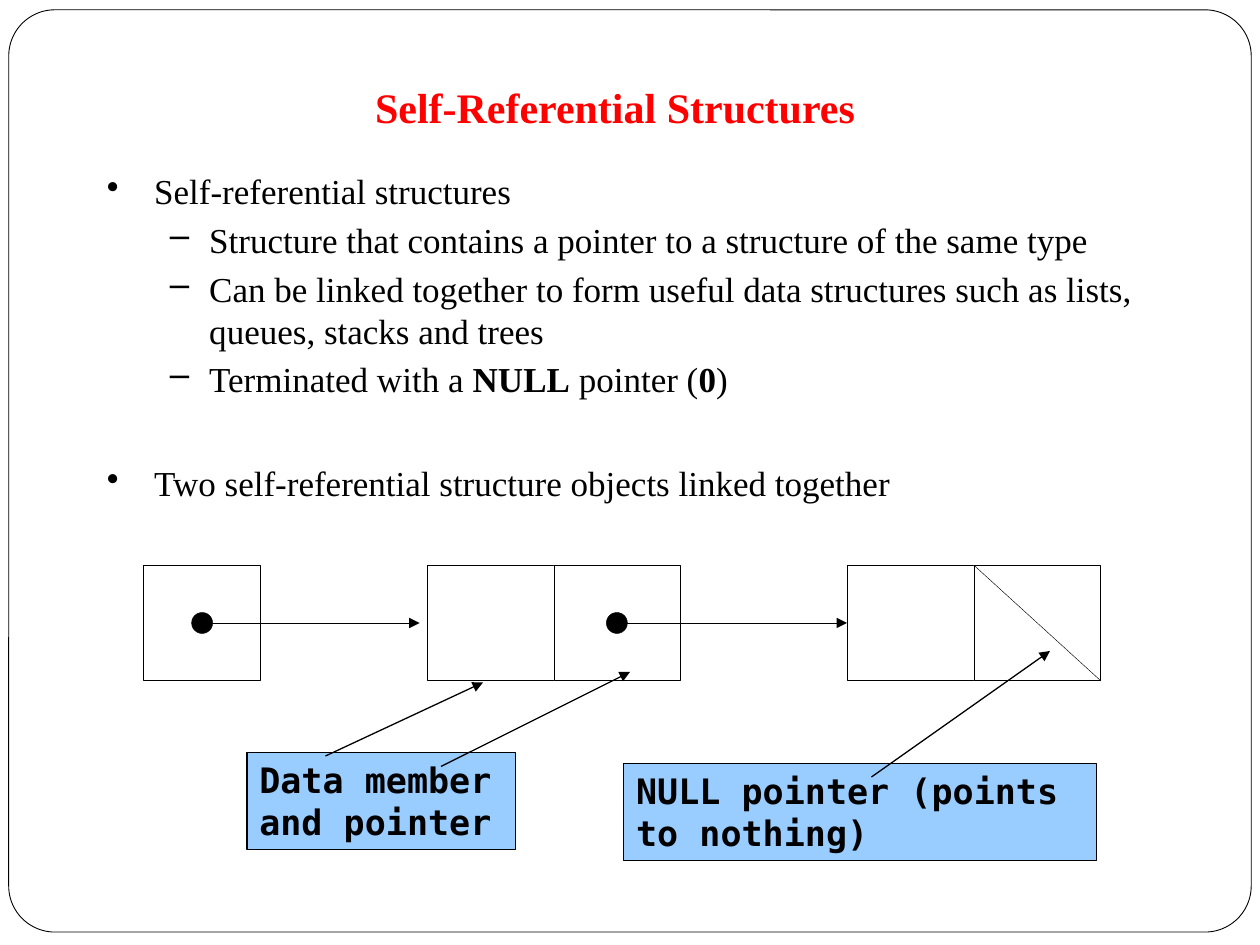
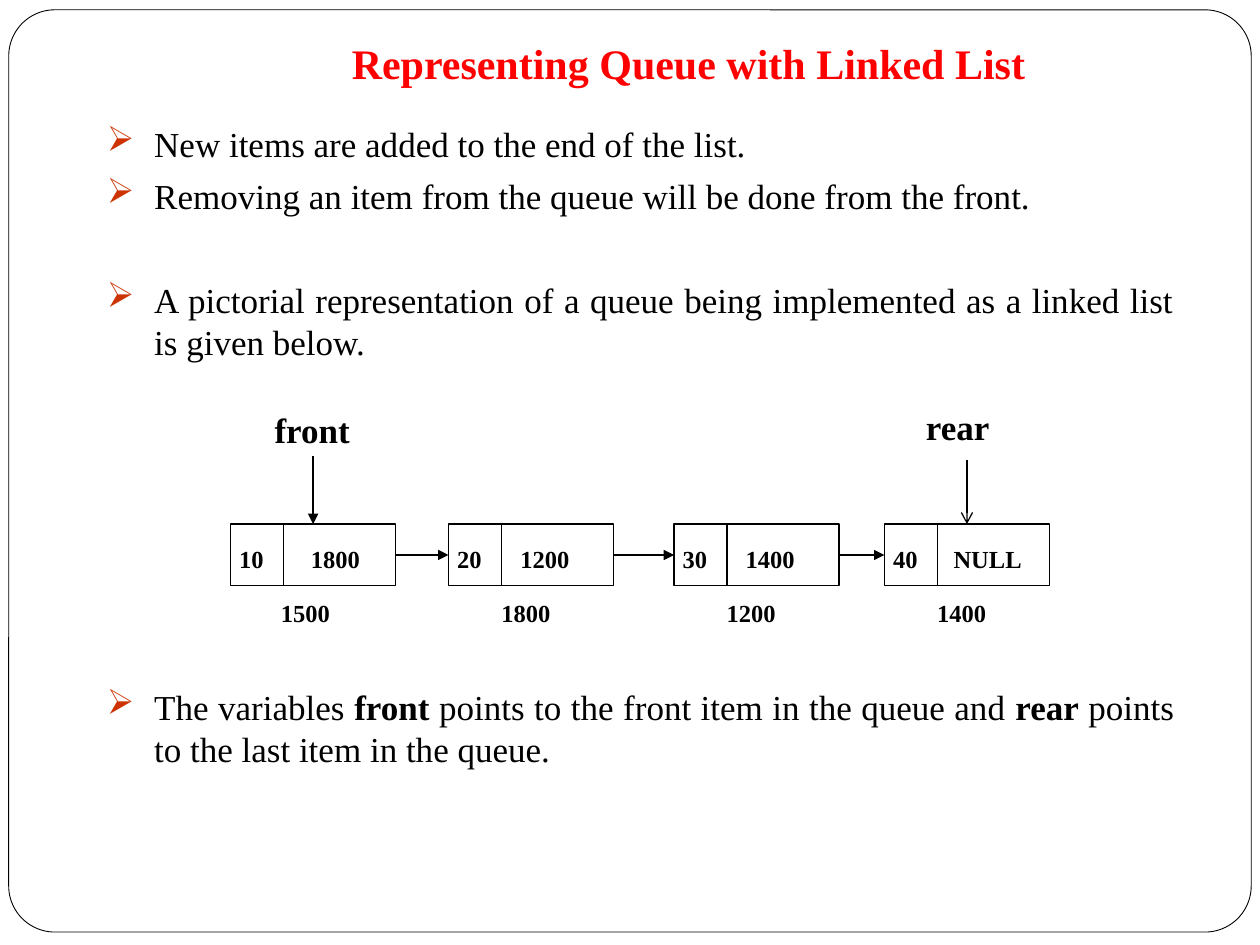
from dataclasses import dataclass

from pptx import Presentation
from pptx.dml.color import RGBColor
from pptx.enum.shapes import MSO_CONNECTOR, MSO_SHAPE
from pptx.enum.text import MSO_ANCHOR, MSO_AUTO_SIZE, PP_ALIGN
from pptx.oxml.ns import qn
from pptx.oxml.xmlchemy import OxmlElement
from pptx.util import Pt


@dataclass(frozen=True)
class Theme:
    black: str = "000000"
    white: str = "FFFFFF"
    title: str = "FF0000"
    callout: str = "99CCFF"
    bullet: str = "CC3300"
    serif: str = "Times New Roman"
    mono: str = "DejaVu Sans Mono"
    title_size: float = 24
    body_size: float = 20
    label_size: float = 14
    hairline: float = 0.25
    frame_line: float = 0.5
    line: float = 0.75


T = Theme()


def write(tf, text, size=T.body_size, font=T.serif, color=T.black, bold=False,
          align=PP_ALIGN.LEFT, before=0, bullet=None, bullet_color=T.black,
          margin=0, hanging=0):
    tf.word_wrap = True
    p = tf.add_paragraph() if tf.text else tf.paragraphs[0]
    p.alignment = align
    p.space_before = Pt(before)
    if bullet:
        pPr = p._p.get_or_add_pPr()
        pPr.set("marL", str(Pt(margin)))
        pPr.set("indent", str(-Pt(hanging)))
        clr = OxmlElement("a:buClr")
        rgb = OxmlElement("a:srgbClr")
        rgb.set("val", bullet_color)
        clr.append(rgb)
        char = OxmlElement("a:buChar")
        char.set("char", bullet)
        pPr.extend([clr, char])
    for i, part in enumerate(text.split("*")):
        r = p.add_run()
        r.text = part
        r.font.size = Pt(size)
        r.font.name = font
        r.font.bold = bold or i % 2 == 1
        r.font.color.rgb = RGBColor.from_string(color)


def style(sp, width=T.line, fill=None, head=None):
    sp.line.color.rgb = RGBColor.from_string(T.black)
    sp.line.width = Pt(width)
    if fill:
        sp.fill.solid()
        sp.fill.fore_color.rgb = RGBColor.from_string(fill)
    spPr = sp.element.spPr
    if head:
        end = OxmlElement("a:tailEnd")
        end.set("type", head)
        spPr.find(qn("a:ln")).append(end)
    spPr.append(OxmlElement("a:effectLst"))
    return sp


prs = Presentation()
prs.slide_width, prs.slide_height = Pt(720), Pt(540)

slides = []
for title, center, top in [
    ("Self-Referential Structures", 351.5, 36.7),
    ("Representing Queue with Linked List", 393.5, 11.6),
]:
    s = prs.slides.add_slide(prs.slide_layouts[5])
    frame = s.shapes.add_shape(MSO_SHAPE.ROUNDED_RECTANGLE, Pt(5), Pt(5.6), Pt(710), Pt(527))
    frame.adjustments[0] = 0.05
    frame.fill.background()
    style(frame, T.frame_line)
    sp = s.shapes.title
    sp.left, sp.top, sp.width, sp.height = Pt(center - 200), Pt(top), Pt(400), Pt(46)
    tf = sp.text_frame
    tf.auto_size = MSO_AUTO_SIZE.NONE
    tf.vertical_anchor = MSO_ANCHOR.BOTTOM
    tf.margin_bottom = Pt(7.2)
    write(tf, title, size=T.title_size, color=T.title, bold=True, align=PP_ALIGN.CENTER)
    slides.append(s)

s = slides[0]
tf = s.shapes.add_textbox(Pt(54), Pt(93.6), Pt(612), Pt(219)).text_frame
point = dict(bullet="•", margin=27, hanging=27)
detail = dict(bullet="–", margin=58.5, hanging=22.5, before=3.7)
write(tf, "Self-referential structures", before=5.8, **point)
for text in [
    "Structure that contains a pointer to a structure of the same type",
    "Can be linked together to form useful data structures such as lists, queues, stacks and trees",
    "Terminated with a *NULL* pointer (*0*)",
]:
    write(tf, text, **detail)
write(tf, "Two self-referential structure objects linked together", before=35.5, **point)

cell_top, cell_w, cell_h = 323, 72.5, 66
mid = cell_top + cell_h / 2
first_node, second_node = 244, 484
cells = []
for x, w in [(82, 67)] + [
    (node + i * cell_w, cell_w) for node in (first_node, second_node) for i in range(2)
]:
    sp = s.shapes.add_shape(MSO_SHAPE.RECTANGLE, Pt(x), Pt(cell_top), Pt(w), Pt(cell_h))
    cells.append(style(sp, T.hairline, T.white))

for x, end, target in [(115.5, 239.8, None), (352.5, second_node, cells[3])]:
    cn = s.shapes.add_connector(MSO_CONNECTOR.STRAIGHT, Pt(x), Pt(mid), Pt(end), Pt(mid))
    if target:
        cn.end_connect(target, 1)
    style(cn, T.hairline, head="triangle")
    dot = s.shapes.add_shape(MSO_SHAPE.OVAL, Pt(x - 6), Pt(mid - 6), Pt(12), Pt(12))
    style(dot, T.hairline, T.black)

null_x = second_node + cell_w
cn = s.shapes.add_connector(MSO_CONNECTOR.STRAIGHT, Pt(null_x), Pt(cell_top),
                            Pt(null_x + cell_w), Pt(cell_top + cell_h))
style(cn, T.hairline)

for text, x, y, w in [
    ("NULL pointer (points to nothing)", 356.4, 436.3, 270),
    ("Data member and pointer", 141.1, 430, 153.4),
]:
    sp = s.shapes.add_shape(MSO_SHAPE.RECTANGLE, Pt(x), Pt(y), Pt(w), Pt(55.4))
    style(sp, fill=T.callout)
    sp.text_frame.vertical_anchor = MSO_ANCHOR.TOP
    write(sp.text_frame, text, font=T.mono, bold=True)

for x1, y1, x2, y2 in [
    (498, 444, 600, 372),
    (186, 432, 276, 390),
    (252, 438, 360, 384),
]:
    cn = s.shapes.add_connector(MSO_CONNECTOR.STRAIGHT, Pt(x1), Pt(y1), Pt(x2), Pt(y2))
    style(cn, head="triangle")

s = slides[1]
for top, height, paragraphs in [
    (66.2, 150, [
        ("New items are added to the end of the list.", 5.8),
        ("Removing an item from the queue will be done from the front.", 5.8),
        ("A pictorial representation of a queue being implemented as a linked list is given below.", 35.6),
    ]),
    (388, 60, [
        ("The variables *front* points to the front item in the queue and *rear* points to the last item in the queue.", 5.8),
    ]),
]:
    tf = s.shapes.add_textbox(Pt(54), Pt(top), Pt(624), Pt(height)).text_frame
    for text, before in paragraphs:
        write(tf, text, align=PP_ALIGN.JUSTIFY, before=before, bullet="➢",
              bullet_color=T.bullet, margin=27, hanging=27)

node_top, node_w, node_h = 299.5, 94.3, 35.3
nodes = []
for x, value, link, link_x, address, address_x in [
    (131.8, "10", "1800", 170.6, "1500", 153.4),
    (256.3, "20", "1200", 290.2, "1800", 279.4),
    (385.2, "30", "1400", 419, "1200", 408.2),
    (505.4, "40", "NULL", 537.8, "1400", 528.5),
]:
    sp = s.shapes.add_shape(MSO_SHAPE.RECTANGLE, Pt(x), Pt(node_top), Pt(node_w), Pt(node_h))
    nodes.append(style(sp, fill=T.white))
    split = x + 30.2
    cn = s.shapes.add_connector(MSO_CONNECTOR.STRAIGHT, Pt(split), Pt(node_top),
                                Pt(split), Pt(node_top + node_h))
    style(cn)
    for text, left, top, w in [
        (value, x - 2.2, 307.4, 32),
        (link, link_x, 307.4, 60),
        (address, address_x, 338, 50),
    ]:
        tb = s.shapes.add_textbox(Pt(left), Pt(top), Pt(w), Pt(24.5))
        write(tb.text_frame, text, size=T.label_size, bold=True)

for a, b in zip(nodes, nodes[1:]):
    cn = s.shapes.add_connector(MSO_CONNECTOR.STRAIGHT, 0, 0, 0, 0)
    cn.begin_connect(a, 3)
    cn.end_connect(b, 1)
    style(cn, head="triangle")

for text, left, top, start, node, head in [
    ("front", 149.8, 229.7, 260.6, nodes[0], "triangle"),
    ("rear", 522, 228.2, 262.8, nodes[-1], "arrow"),
]:
    tb = s.shapes.add_textbox(Pt(left), Pt(top), Pt(64), Pt(31.7))
    write(tb.text_frame, text, bold=True)
    x = node.left + node.width // 2
    cn = s.shapes.add_connector(MSO_CONNECTOR.STRAIGHT, x, Pt(start), x, node.top)
    cn.end_connect(node, 0)
    style(cn, head=head)

prs.save("out.pptx")
